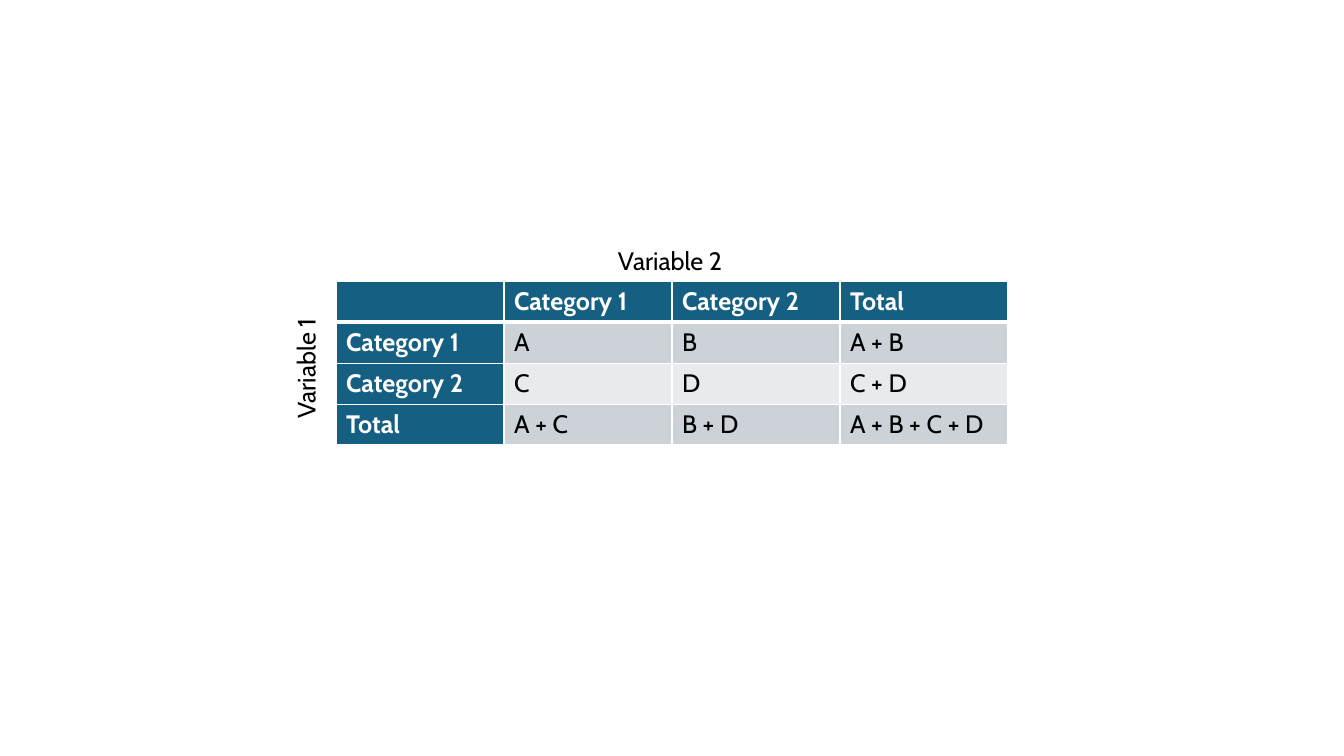
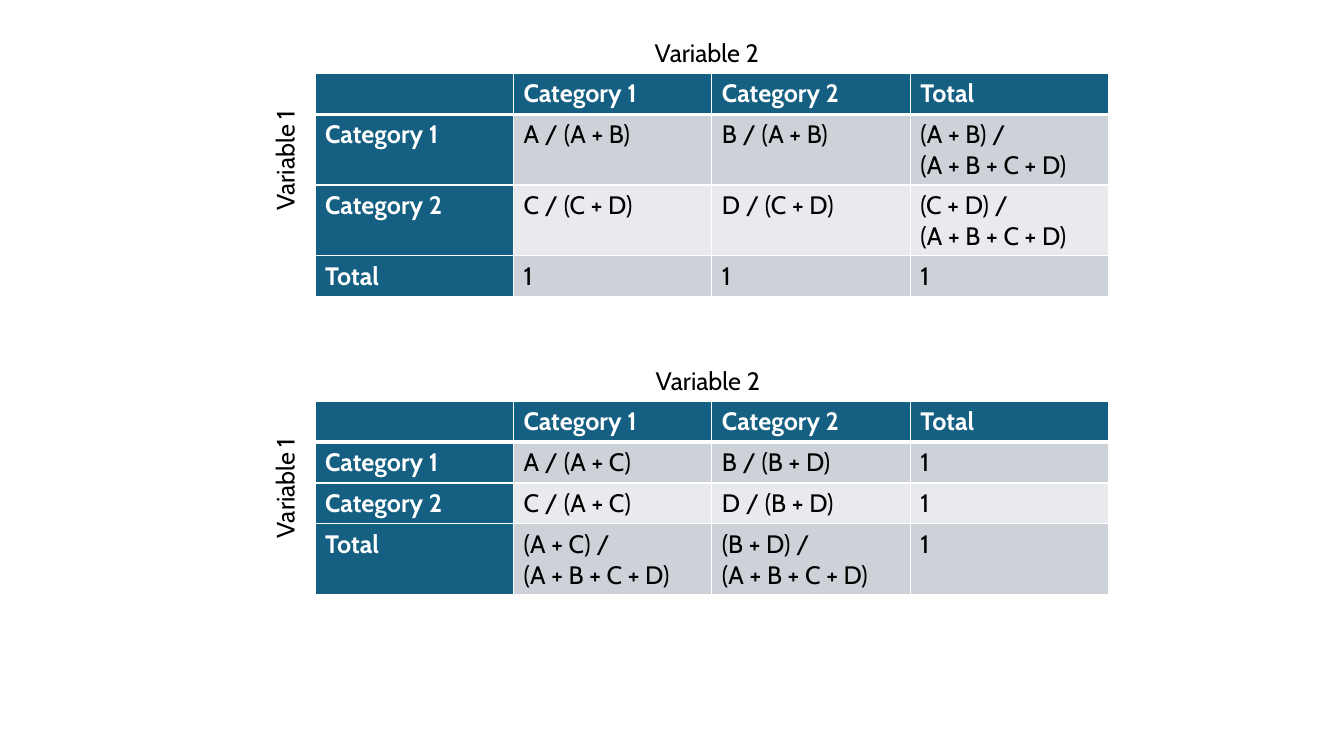
import dataclasses
import typing

import lxml.etree
import pptx
import pptx.dml.color
import pptx.enum.text
import pptx.oxml.ns
import pptx.presentation
import pptx.slide
import pptx.table
import pptx.text.text
import pptx.util

EMU_PER_PX = 9525
BLANK_LAYOUT = 6


@dataclasses.dataclass(frozen=True)
class Theme:
    font: str = "Cabin"
    text_size: int = 18
    text: str = "000000"
    header_text: str = "FFFFFF"
    header_fill: str = "156082"
    band_fills: tuple[str, str] = ("CCD2D8", "E8EAED")
    border: str = "FFFFFF"
    border_width: int = 1
    header_border_width: int = 3


@dataclasses.dataclass(frozen=True)
class Crosstab:
    left: int
    top: int
    column_width: int
    column_label_left: int
    values: tuple[tuple[str, str, str], ...]


THEME = Theme()
SLIDE_WIDTH, SLIDE_HEIGHT = 1280, 720
LABEL_WIDTH, LABEL_HEIGHT = 123, 39
ROW_HEIGHT, TWO_LINE_ROW_HEIGHT = 39, 67
COLUMN_LABEL_RISE = 39
ROW_LABEL_OFFSET_X, ROW_LABEL_OFFSET_Y = -90, 59
CATEGORIES = ("Category 1", "Category 2", "Total")
GRAND_TOTAL = "(A + B + C + D)"

COUNTS = Crosstab(320, 268, 160, 579, (
    ("A", "B", "A + B"),
    ("C", "D", "C + D"),
    ("A + C", "B + D", "A + B + C + D"),
))
ROW_SHARES = Crosstab(300, 70, 189, 614, (
    ("A / (A + B)", "B / (A + B)", f"(A + B) /\v{GRAND_TOTAL}"),
    ("C / (C + D)", "D / (C + D)", f"(C + D) /\v{GRAND_TOTAL}"),
    ("1", "1", "1"),
))
COLUMN_SHARES = Crosstab(300, 382, 189, 615, (
    ("A / (A + C)", "B / (B + D)", "1"),
    ("C / (A + C)", "D / (B + D)", "1"),
    (f"(A + C) /\v{GRAND_TOTAL}", f"(B + D) /\v{GRAND_TOTAL}", "1"),
))
SLIDES = ((COUNTS,), (ROW_SHARES, COLUMN_SHARES))


def px(length: int) -> pptx.util.Emu:
    return pptx.util.Emu(length * EMU_PER_PX)


def set_attributes(target: typing.Any, values: dict[str, typing.Any]) -> None:
    for name, value in values.items():
        setattr(target, name, value)


def write_text(frame: pptx.text.text.TextFrame, text: str, color: str, bold: bool) -> None:
    frame.text = text
    for run in frame.paragraphs[0].runs:
        set_attributes(run.font, {
            "name": THEME.font,
            "size": pptx.util.Pt(THEME.text_size),
            "bold": bold,
        })
        run.font.color.rgb = pptx.dml.color.RGBColor.from_string(color)


def set_borders(cell: pptx.table._Cell, top: int, bottom: int) -> None:
    qualify = pptx.oxml.ns.qn
    properties = cell._tc.get_or_add_tcPr()
    widths = {"L": THEME.border_width, "R": THEME.border_width, "T": top, "B": bottom}
    for index, (side, width) in enumerate(widths.items()):
        line = lxml.etree.Element(qualify(f"a:ln{side}"), w=str(pptx.util.Pt(width)))
        fill = lxml.etree.SubElement(line, qualify("a:solidFill"))
        lxml.etree.SubElement(fill, qualify("a:srgbClr"), val=THEME.border)
        properties.insert(index, line)


def draw_cell(cell: pptx.table._Cell, text: str, row: int, column: int) -> None:
    is_header = row == 0 or column == 0
    fill = THEME.header_fill if is_header else THEME.band_fills[(row - 1) % 2]
    cell.fill.solid()
    cell.fill.fore_color.rgb = pptx.dml.color.RGBColor.from_string(fill)
    set_borders(
        cell,
        top=THEME.header_border_width if row == 1 else THEME.border_width,
        bottom=THEME.header_border_width if row == 0 else THEME.border_width,
    )
    write_text(cell.text_frame, text, THEME.header_text if is_header else THEME.text, is_header)


def draw_label(slide: pptx.slide.Slide, text: str, left: int, top: int, rotation: int = 0) -> None:
    label = slide.shapes.add_textbox(px(left), px(top), px(LABEL_WIDTH), px(LABEL_HEIGHT))
    label.rotation = rotation
    set_attributes(label.text_frame, {
        "word_wrap": False,
        "auto_size": pptx.enum.text.MSO_AUTO_SIZE.SHAPE_TO_FIT_TEXT,
    })
    write_text(label.text_frame, text, THEME.text, False)


def draw_crosstab(slide: pptx.slide.Slide, crosstab: Crosstab) -> None:
    body = [(name, *values) for name, values in zip(CATEGORIES, crosstab.values)]
    rows = [("", *CATEGORIES), *body]
    heights = [
        TWO_LINE_ROW_HEIGHT if any("\v" in text for text in row) else ROW_HEIGHT
        for row in rows
    ]
    column_count = len(rows[0])
    frame = slide.shapes.add_table(
        len(rows), column_count, px(crosstab.left), px(crosstab.top),
        px(crosstab.column_width * column_count), px(sum(heights)),
    )
    table = frame.table
    set_attributes(table, {"first_row": True, "first_col": True, "horz_banding": True})
    for column in table.columns:
        column.width = px(crosstab.column_width)
    for row_index, (texts, height) in enumerate(zip(rows, heights)):
        table.rows[row_index].height = px(height)
        for column_index, text in enumerate(texts):
            draw_cell(table.cell(row_index, column_index), text, row_index, column_index)
    draw_label(
        slide, "Variable 1", crosstab.left + ROW_LABEL_OFFSET_X,
        crosstab.top + ROW_LABEL_OFFSET_Y, rotation=270,
    )
    draw_label(slide, "Variable 2", crosstab.column_label_left, crosstab.top - COLUMN_LABEL_RISE)


def main() -> None:
    presentation = pptx.Presentation()
    set_attributes(presentation, {
        "slide_width": px(SLIDE_WIDTH),
        "slide_height": px(SLIDE_HEIGHT),
    })
    for crosstabs in SLIDES:
        slide = presentation.slides.add_slide(presentation.slide_layouts[BLANK_LAYOUT])
        for crosstab in crosstabs:
            draw_crosstab(slide, crosstab)
    presentation.save("out.pptx")


if __name__ == "__main__":
    main()
